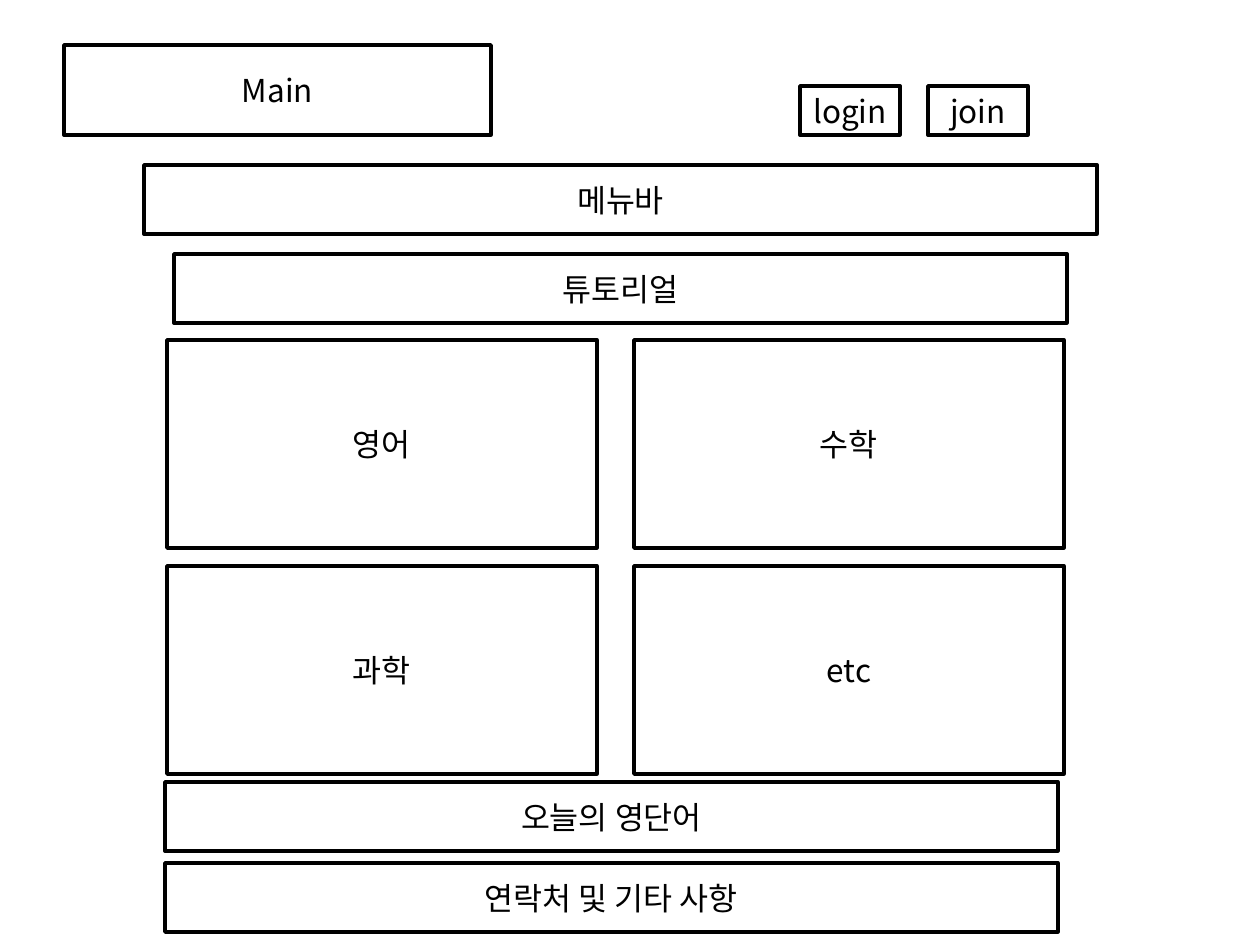
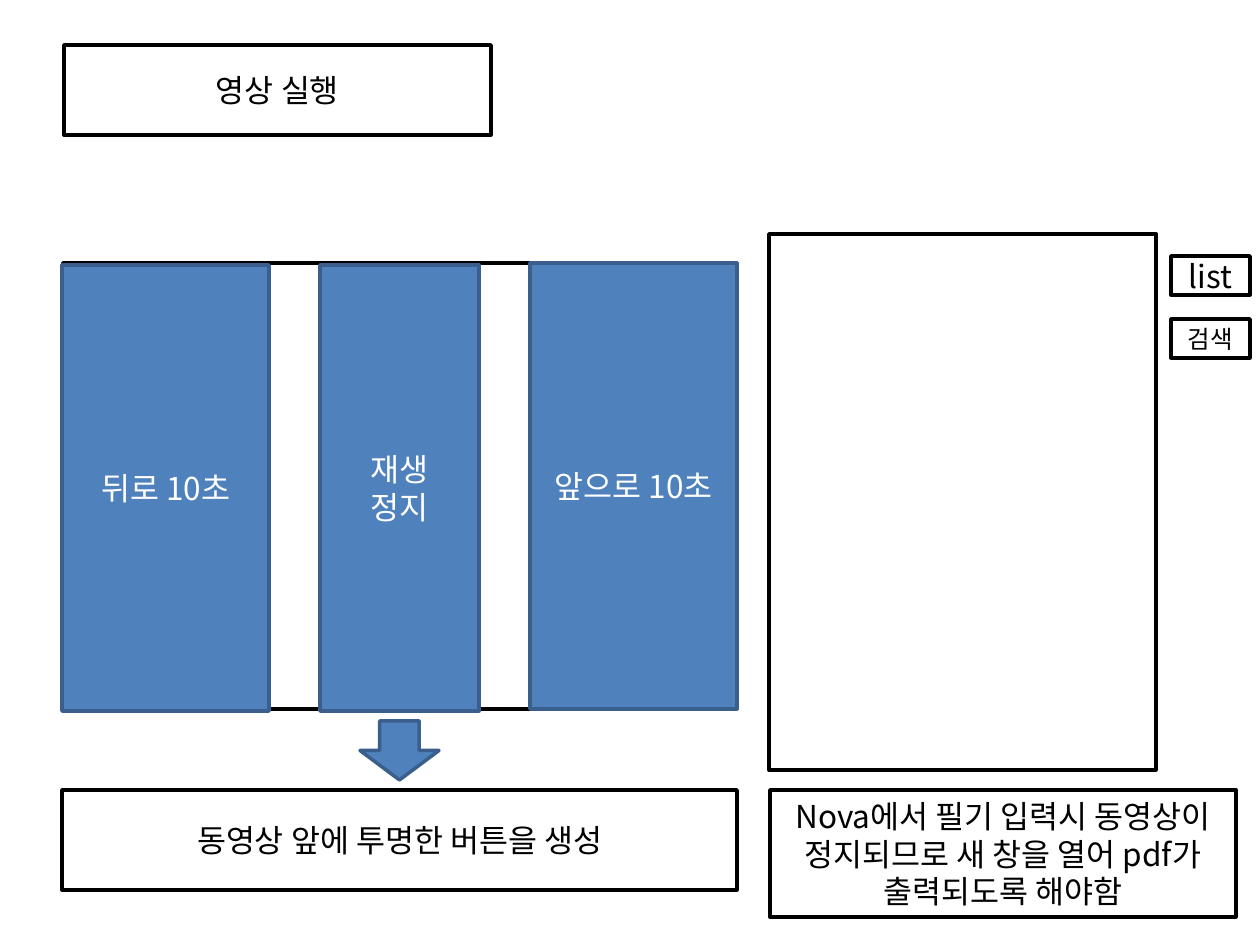
from pptx import Presentation
from pptx import util as u
from pptx.dml.color import RGBColor
from pptx.enum import shapes, text
from pptx.oxml.ns import qn
from lxml import etree

FONT = "Noto Sans CJK KR"
PX = 914400 / 126
WHITE = RGBColor(0xFF, 0xFF, 0xFF)
BLACK = RGBColor(0, 0, 0)
BLUE = RGBColor(0x4F, 0x81, 0xBD)
NAVY = RGBColor(0x3A, 0x5F, 0x8C)

WIREFRAME = dict(fill=WHITE, edge=BLACK, ink=BLACK)
CONTROL = dict(fill=BLUE, edge=NAVY, ink=WHITE)
TITLE_AREA = (64, 45, 427, 90)

MAIN_TITLE = "Main"
BARS = [
    ("메뉴바", 144, 165, 953),
    ("튜토리얼", 174, 254, 893),
    ("오늘의 영단어", 165, 782, 893),
    ("연락처 및 기타 사항", 165, 863, 893),
]
BAR_HEIGHT = 69
SUBJECTS = [["영어", "수학"], ["과학", "etc"]]
SUBJECT_ORIGIN, SUBJECT_SIZE, SUBJECT_GAP = (167, 340), (430, 208), (37, 18)
ACCOUNT_BUTTONS = ["login", "join"]

VIDEO_TITLE = "영상 실행"
VIDEO_AREA = (63, 263, 674, 446)
NOTE_PANEL = (769, 234, 387, 536)
SIDE_BUTTONS = [("list", 18), ("검색", 14)]
CONTROLS = [
    ("재생\n정지", 320, 265, 159),
    ("앞으로 10초", 530, 263, 207),
    ("뒤로 10초", 62, 265, 207),
]
ARROW_AREA = (360, 721, 79, 59)
CAPTIONS = [
    ("동영상 앞에 투명한 버튼을 생성", (62, 790, 675, 100)),
    ("Nova에서 필기 입력시 동영상이 정지되므로 새 창을 열어 pdf가 출력되도록 해야함",
     (770, 790, 466, 127)),
]


def emu(lengths):
    return [u.Emu(round(length * PX)) for length in lengths]


def dress(box, words, look, size):
    box.fill.solid()
    box.fill.fore_color.rgb = look["fill"]
    box.line.color.rgb = look["edge"]
    box.line.width = u.Pt(2)
    frame = box.text_frame
    frame.word_wrap = True
    frame.auto_size = text.MSO_AUTO_SIZE.NONE
    frame.vertical_anchor = text.MSO_ANCHOR.MIDDLE
    if not words:
        return
    frame.text = words
    for paragraph in frame.paragraphs:
        paragraph.alignment = text.PP_ALIGN.CENTER
        paragraph.font.name = FONT
        paragraph.font.size = u.Pt(size)
        paragraph.font.color.rgb = look["ink"]
        defaults = paragraph._p.pPr.find(qn("a:defRPr"))
        etree.SubElement(defaults, qn("a:ea"), typeface=FONT)


def add_box(slide, words, area, look=WIREFRAME, size=18,
            outline=shapes.MSO_SHAPE.RECTANGLE):
    box = slide.shapes.add_shape(outline, *emu(area))
    box.shadow.inherit = False
    dress(box, words, look, size)


def add_screen(deck, title):
    slide = deck.slides.add_slide(deck.slide_layouts[5])
    heading = slide.shapes.title
    heading.left, heading.top, heading.width, heading.height = emu(TITLE_AREA)
    dress(heading, title, WIREFRAME, 18)
    return slide


def build_main(deck):
    slide = add_screen(deck, MAIN_TITLE)
    for label, left, top, width in BARS:
        add_box(slide, label, (left, top, width, BAR_HEIGHT))
    (left, top), (width, height) = SUBJECT_ORIGIN, SUBJECT_SIZE
    across, down = SUBJECT_GAP
    for row, subjects in enumerate(SUBJECTS):
        for column, subject in enumerate(subjects):
            add_box(slide, subject, (left + column * (width + across),
                                     top + row * (height + down), width, height))
    for index, label in enumerate(ACCOUNT_BUTTONS):
        add_box(slide, label, (800 + 128 * index, 86, 100, 49))


def build_video(deck):
    slide = add_screen(deck, VIDEO_TITLE)
    add_box(slide, "", VIDEO_AREA)
    add_box(slide, "", NOTE_PANEL)
    for index, (label, size) in enumerate(SIDE_BUTTONS):
        add_box(slide, label, (1171, 256 + 63 * index, 79, 39), size=size)
    for label, left, top, width in CONTROLS:
        add_box(slide, label, (left, top, width, VIDEO_AREA[3]), CONTROL)
    add_box(slide, "", ARROW_AREA, CONTROL, outline=shapes.MSO_SHAPE.DOWN_ARROW)
    for words, area in CAPTIONS:
        add_box(slide, words, area)


def main():
    deck = Presentation()
    deck.slide_width, deck.slide_height = u.Inches(10), u.Inches(7.5)
    build_main(deck)
    build_video(deck)
    deck.save("out.pptx")


if __name__ == "__main__":
    main()
